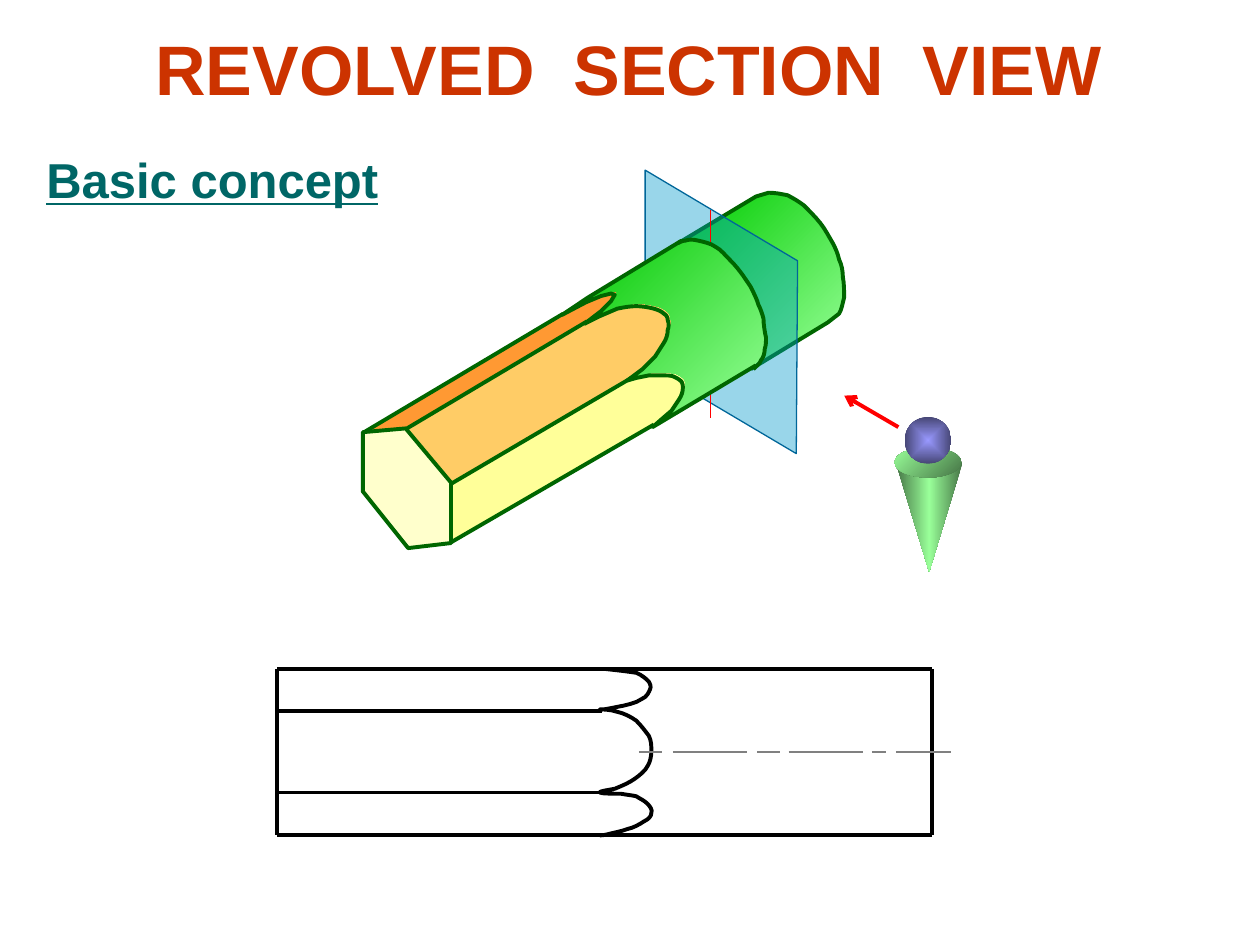
from dataclasses import dataclass

from lxml import etree
from pptx import Presentation
from pptx.dml.color import RGBColor
from pptx.enum import shapes, text
from pptx.oxml import parse_xml
from pptx.oxml.ns import nsdecls, qn
from pptx.util import Inches, Pt


@dataclass(frozen=True)
class Theme:
    font: str = "Arial"
    title_size: int = 40
    heading_size: int = 28
    title: str = "CC3300"
    heading: str = "006666"
    edge: str = "006600"
    drawing: str = "000000"
    center_line: str = "808080"
    red: str = "FF0000"
    plane: str = "0099CC"
    plane_edge: str = "006699"
    thick: float = 2.25
    medium: float = 1.5
    thin: float = 0.75
    axis: float = 1


THEME = Theme()
BODY_GRADIENT = (["99FF99", "00CC00"], 225)
SLEEVE_GRADIENT = (["99FF99", "00C800"], 225)
CONE_GRADIENT = (["467546", "99FF99", "467546"], 180)
COLLAR_GRADIENT = (["467546", "99FF99"], 225)
HEAD_GRADIENT = (["9999FF", "464675"], None)

# Two numbers make a straight step; six make a cubic curve.
BACK_BODY = [
    (5.96, 2.93), (6.57, 2.56), (6.66, 2.49), (6.68, 2.46, 6.69, 2.4, 6.7, 2.36),
    (6.7, 2.31, 6.7, 2.25, 6.69, 2.2), (6.69, 2.15, 6.68, 2.1, 6.66, 2.06),
    (6.65, 2.01, 6.63, 1.97, 6.61, 1.93), (6.58, 1.88, 6.55, 1.82, 6.51, 1.77),
    (6.47, 1.72, 6.42, 1.67, 6.38, 1.63), (6.34, 1.6, 6.29, 1.57, 6.25, 1.55),
    (6.2, 1.54, 6.15, 1.53, 6.1, 1.53), (6, 1.56), (5.4, 1.92)]
CUTTING_PLANE = [(6.32, 3.6), (5.12, 2.89), (5.12, 1.35), (6.33, 2.07), (6.32, 3.6)]
VIEW_SCALLOPS = [
    (4.81, 5.31), (4.9, 5.32, 4.99, 5.33, 5.05, 5.34), (5.1, 5.36, 5.13, 5.39, 5.15, 5.41),
    (5.16, 5.43, 5.17, 5.45, 5.16, 5.47), (5.15, 5.49, 5.14, 5.53, 5.09, 5.55),
    (5.05, 5.58, 4.96, 5.6, 4.9, 5.61), (4.85, 5.62, 4.76, 5.64, 4.76, 5.63),
    (4.76, 5.63, 4.85, 5.63, 4.9, 5.65), (4.95, 5.66, 5.01, 5.69, 5.05, 5.72),
    (5.09, 5.76, 5.12, 5.8, 5.15, 5.84), (5.17, 5.88, 5.17, 5.92, 5.17, 5.96),
    (5.17, 6, 5.16, 6.05, 5.14, 6.08), (5.12, 6.12, 5.08, 6.15, 5.04, 6.18),
    (5, 6.21, 4.93, 6.24, 4.88, 6.26), (4.83, 6.27, 4.75, 6.28, 4.76, 6.29),
    (4.77, 6.3, 4.89, 6.3, 4.93, 6.3), (4.98, 6.31, 5.01, 6.31, 5.05, 6.32),
    (5.08, 6.34, 5.11, 6.35, 5.14, 6.38), (5.16, 6.4, 5.18, 6.43, 5.17, 6.45),
    (5.17, 6.48, 5.15, 6.5, 5.11, 6.52), (5.08, 6.54, 5.03, 6.57, 4.98, 6.58),
    (4.93, 6.6, 4.86, 6.61, 4.83, 6.62), (4.79, 6.63, 4.77, 6.63, 4.76, 6.63)]
FACETS = [
    ("FF9933", [(3.23, 3.4), (4.87, 2.42), (4.91, 2.3), (4.81, 2.29), (4.55, 2.43),
                (2.89, 3.42), (3.23, 3.4)]),
    ("FFCC66", [(3.58, 3.84), (5.26, 2.85), (5.33, 2.6), (5.33, 2.44), (5.15, 2.4),
                (4.9, 2.42), (4.71, 2.51), (3.23, 3.4), (3.58, 3.84)]),
    ("FFFF99", [(3.58, 4.31), (5.37, 3.27), (5.46, 3.03), (5.37, 2.94), (5.1, 2.94),
                (3.57, 3.85), (3.58, 4.31)])]
HEXAGON_END = [(2.88, 3.9), (3.24, 4.35), (3.58, 4.31), (3.58, 3.83), (3.22, 3.4),
               (2.88, 3.43), (2.88, 3.9)]
SLEEVE_RIM = [
    (5.2, 3.37), (5.55, 3.18), (5.94, 2.94), (6.03, 2.85), (6.06, 2.77),
    (6.07, 2.73, 6.07, 2.67, 6.07, 2.63), (6.06, 2.58, 6.05, 2.53, 6.03, 2.47),
    (6.01, 2.42, 5.99, 2.35, 5.96, 2.3), (5.93, 2.25, 5.9, 2.21, 5.87, 2.17),
    (5.84, 2.13, 5.81, 2.09, 5.78, 2.05), (5.74, 2.02, 5.71, 1.98, 5.66, 1.96),
    (5.61, 1.93, 5.52, 1.9, 5.47, 1.9), (5.33, 1.97)]
SLEEVE_SCALLOPS = [
    (4.69, 2.34), (4.48, 2.48), (4.67, 2.38), (4.79, 2.33), (4.87, 2.31), (4.9, 2.32),
    (4.87, 2.37), (4.79, 2.45), (4.66, 2.55), (4.78, 2.49), (4.92, 2.43),
    (4.97, 2.42, 5.02, 2.41, 5.07, 2.41), (5.12, 2.41, 5.17, 2.42, 5.21, 2.43),
    (5.24, 2.44, 5.27, 2.45, 5.29, 2.47), (5.31, 2.48, 5.32, 2.5, 5.32, 2.52),
    (5.33, 2.55, 5.33, 2.57, 5.32, 2.6), (5.32, 2.63, 5.31, 2.67, 5.29, 2.7),
    (5.22, 2.81), (5.12, 2.91), (5, 3), (5.07, 2.98), (5.17, 2.96),
    (5.21, 2.96, 5.26, 2.96, 5.29, 2.96), (5.32, 2.96, 5.35, 2.96, 5.37, 2.97),
    (5.39, 2.98, 5.41, 2.99, 5.43, 3.01), (5.44, 3.03, 5.44, 3.04, 5.44, 3.06),
    (5.44, 3.09, 5.43, 3.12, 5.41, 3.15), (5.35, 3.24), (5.28, 3.3), (5.2, 3.37)]
CUT_EDGE = [
    (5.38, 1.93), (5.39, 1.93, 5.41, 1.91, 5.44, 1.91), (5.47, 1.9, 5.5, 1.9, 5.54, 1.91),
    (5.58, 1.92, 5.64, 1.93, 5.68, 1.96), (5.72, 1.98, 5.76, 2.03, 5.8, 2.07),
    (5.84, 2.11, 5.87, 2.15, 5.9, 2.19), (5.92, 2.22, 5.94, 2.25, 5.96, 2.28),
    (5.98, 2.32, 6.01, 2.38, 6.02, 2.42), (6.04, 2.46, 6.05, 2.49, 6.06, 2.53),
    (6.06, 2.57, 6.07, 2.64, 6.08, 2.68), (6.08, 2.72, 6.08, 2.74, 6.07, 2.77),
    (6.07, 2.8, 6.06, 2.84, 6.04, 2.86), (6.03, 2.89, 6, 2.91, 5.98, 2.93)]
VIEW_LINES = [(2.2, 6.63, 7.4, 6.63), (2.2, 6.29, 4.78, 6.29), (2.19, 5.64, 4.78, 5.64),
              (2.2, 5.31, 7.4, 5.31), (2.2, 5.31, 2.2, 6.63), (7.4, 5.31, 7.4, 6.63)]
CENTER_DASHES = [(5.07, 5.25), (5.34, 5.93), (6.01, 6.19), (6.26, 6.85), (6.92, 7.03), (7.11, 7.55)]
CENTER_Y = 5.97
AXIS_LINES = [(5.64, 1.67, 5.64, 2.38), (5.64, 2.61, 5.64, 3.32)]
FACET_EDGES = [(3.57, 4.31, 5.19, 3.37), (3.58, 3.84, 5.01, 3),
               (3.23, 3.4, 4.66, 2.55), (2.89, 3.43, 4.47, 2.49)]
SIGHT_ARROW = (7.13, 3.39, 6.7, 3.14)
OBSERVER = [("ISOSCELES_TRIANGLE", (7.11, 3.67, 0.53, 0.87), CONE_GRADIENT),
            ("OVAL", (7.1, 3.55, 0.53, 0.24), COLLAR_GRADIENT),
            ("OVAL", (7.18, 3.31, 0.37, 0.37), HEAD_GRADIENT)]


def shift(steps, dx, dy):
    return [tuple(v + (dy if i % 2 else dx) for i, v in enumerate(step)) for step in steps]


def flatten(steps, pieces=4):
    points = [steps[0]]
    for step in steps[1:]:
        if len(step) == 2:
            points.append(step)
            continue
        knots = [points[-1], step[:2], step[2:4], step[4:]]
        for t in (n / pieces for n in range(1, pieces + 1)):
            weights = ((1 - t) ** 3, 3 * t * (1 - t) ** 2, 3 * t * t * (1 - t), t ** 3)
            points.append(tuple(sum(w * k[axis] for w, k in zip(weights, knots)) for axis in (0, 1)))
    return points


def paint(shape, fill=None, line=None, width=THEME.thick, alpha=None):
    shape.shadow.inherit = False
    if isinstance(fill, tuple):
        colors, angle = fill
        stops = "".join(f'<a:gs pos="{100000 * i // (len(colors) - 1)}"><a:srgbClr val="{c}"/></a:gs>'
                        for i, c in enumerate(colors))
        direction = (f'<a:lin ang="{angle * 60000}" scaled="0"/>' if angle is not None else
                     '<a:path path="rect"><a:fillToRect l="50000" t="50000" r="50000" b="50000"/></a:path>')
        gradient = parse_xml(f'<a:gradFill {nsdecls("a")} rotWithShape="1">'
                             f'<a:gsLst>{stops}</a:gsLst>{direction}</a:gradFill>')
        properties = shape._element.spPr
        geometry = properties.find(qn("a:custGeom"))
        if geometry is None:
            geometry = properties.find(qn("a:prstGeom"))
        geometry.addnext(gradient)
    elif fill:
        shape.fill.solid()
        shape.fill.fore_color.rgb = RGBColor.from_string(fill)
        if alpha:
            color = shape._element.spPr.find(qn("a:solidFill"))[0]
            etree.SubElement(color, qn("a:alpha"), val=str(alpha * 1000))
    else:
        shape.fill.background()
    if line:
        shape.line.color.rgb = RGBColor.from_string(line)
        shape.line.width = Pt(width)
    else:
        shape.line.fill.background()


def add_outline(slide, steps, **style):
    points = [(Inches(x), Inches(y)) for x, y in flatten(steps)]
    builder = slide.shapes.build_freeform(*points[0])
    builder.add_line_segments(points[1:], close=points[0] == points[-1])
    paint(builder.convert_to_shape(), **style)


def add_line(slide, ends, color, width=THEME.thick, arrow=False):
    connector = slide.shapes.add_connector(shapes.MSO_CONNECTOR.STRAIGHT, *map(Inches, ends))
    connector.line.color.rgb = RGBColor.from_string(color)
    connector.line.width = Pt(width)
    if arrow:
        etree.SubElement(connector.line._get_or_add_ln(), qn("a:tailEnd"), type="arrow")
    etree.SubElement(connector._element.spPr, qn("a:effectLst"))


def add_label(slide, box, words, size, color, wrap):
    frame = slide.shapes.add_textbox(*map(Inches, box)).text_frame
    frame.word_wrap = wrap
    frame.text = words
    paragraph = frame.paragraphs[0]
    font = paragraph.font
    font.name, font.size, font.bold = THEME.font, Pt(size), True
    font.color.rgb = RGBColor.from_string(color)
    return frame, paragraph


def main():
    presentation = Presentation()
    presentation.slide_width, presentation.slide_height = Inches(10), Inches(7.5)
    slide = presentation.slides.add_slide(presentation.slide_layouts[6])

    add_outline(slide, BACK_BODY, fill=BODY_GRADIENT, line=THEME.edge)
    add_outline(slide, CUTTING_PLANE, fill=THEME.plane, alpha=40, line=THEME.plane_edge, width=THEME.thin)
    frame, paragraph = add_label(slide, (0.49, 0.13, 9, 0.81), "REVOLVED  SECTION  VIEW",
                                 THEME.title_size, THEME.title, True)
    frame.vertical_anchor = text.MSO_ANCHOR.MIDDLE
    paragraph.alignment = text.PP_ALIGN.CENTER

    for ends in VIEW_LINES:
        add_line(slide, ends, THEME.drawing)
    add_outline(slide, VIEW_SCALLOPS, line=THEME.drawing)
    for left, right in CENTER_DASHES:
        add_line(slide, (left, CENTER_Y, right, CENTER_Y), THEME.center_line, THEME.medium)
    for ends in AXIS_LINES:
        add_line(slide, ends, THEME.red, THEME.axis)

    for kind, box, fill in OBSERVER:
        shape = slide.shapes.add_shape(shapes.MSO_SHAPE[kind], *map(Inches, box))
        paint(shape, fill=fill)
        if kind == "ISOSCELES_TRIANGLE":
            shape._element.spPr.find(qn("a:xfrm")).set("flipV", "1")
    add_line(slide, SIGHT_ARROW, THEME.red, arrow=True)

    for color, steps in FACETS:
        add_outline(slide, steps, fill=color)
    add_outline(slide, HEXAGON_END, fill="FFFFCC", line=THEME.edge)
    for ends in FACET_EDGES:
        add_line(slide, ends, THEME.edge)
    add_outline(slide, SLEEVE_RIM + SLEEVE_SCALLOPS, fill=SLEEVE_GRADIENT)
    sleeve_edge = [(5.41, 1.91), *shift(SLEEVE_SCALLOPS, -0.02, 0.02), (6, 2.9)]
    add_outline(slide, sleeve_edge, line=THEME.edge)
    frame, paragraph = add_label(slide, (0.27, 1.14, 2.83, 0.57), "Basic concept",
                                 THEME.heading_size, THEME.heading, False)
    frame.auto_size = text.MSO_AUTO_SIZE.SHAPE_TO_FIT_TEXT
    paragraph.font.underline = True
    add_outline(slide, CUT_EDGE, line=THEME.edge)
    presentation.save("out.pptx")


if __name__ == "__main__":
    main()
